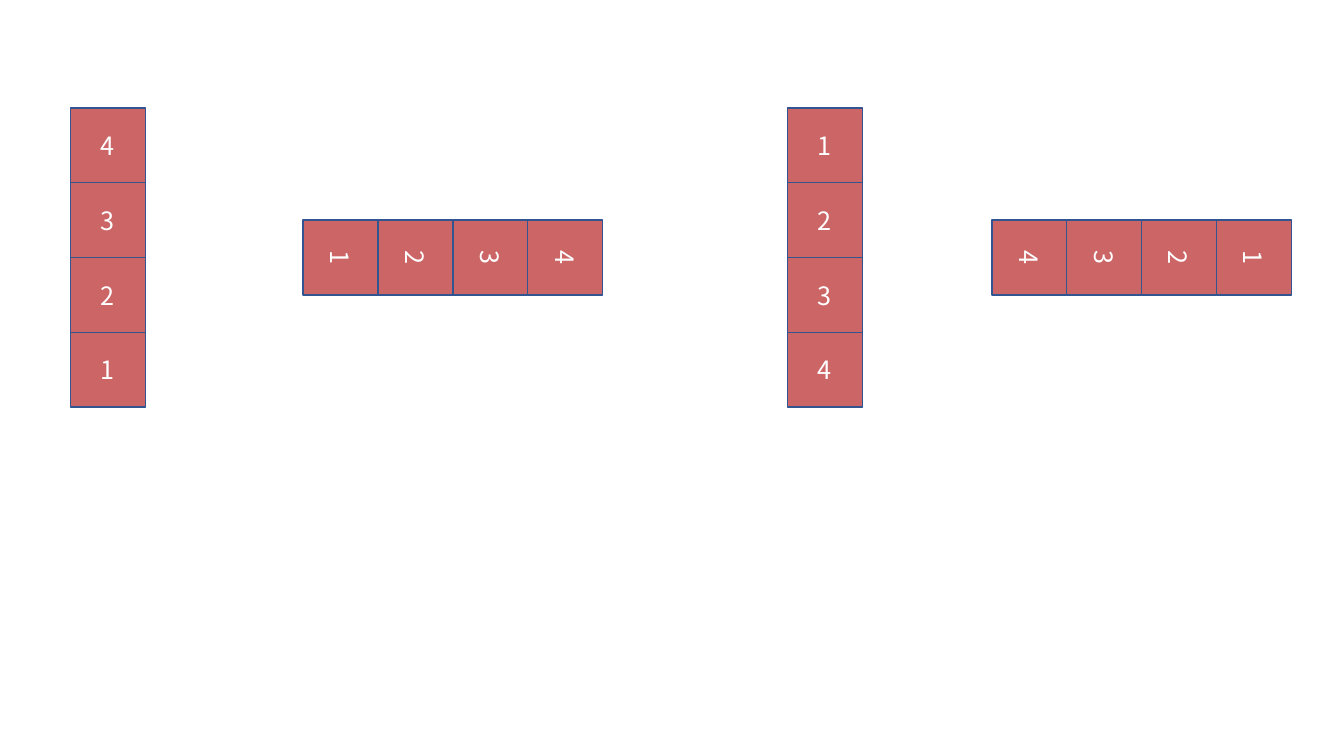
from dataclasses import dataclass

import pptx
import pptx.dml.color
import pptx.enum.shapes
import pptx.enum.text
import pptx.slide
import pptx.util


@dataclass(frozen=True)
class Theme:
    fill: str = "CC6666"
    line: str = "325491"
    text: str = "FFFFFF"
    font: str = "Noto Sans CJK SC"
    text_size: int = 18
    line_width: int = 1


@dataclass(frozen=True)
class Strip:
    left: float  # percent of slide width, before turning
    labels: str  # top to bottom, before turning
    rotation: int = 0


THEME = Theme()
WIDTH = pptx.util.Inches(13.33)
HEIGHT = pptx.util.Inches(7.5)

# Every strip is a column of square cells with the same top edge
TOP = round(HEIGHT * 14.27 / 100)
CELL = round(HEIGHT * 9.9 / 100)
STRIPS = [
    Strip(5.25, "4321"),
    Strip(30.91, "4321", rotation=90),
    Strip(58.59, "1234"),
    Strip(82.15, "1234", rotation=90),
]


def rgb(value: str) -> pptx.dml.color.RGBColor:
    return pptx.dml.color.RGBColor.from_string(value)


def add_strip(s: pptx.slide.Slide, strip: Strip) -> None:
    """Stack the numbered cells in a group, then turn the group."""
    group = s.shapes.add_group_shape()
    left = round(WIDTH * strip.left / 100)
    for row, label in enumerate(strip.labels):
        sp = group.shapes.add_shape(
            pptx.enum.shapes.MSO_SHAPE.RECTANGLE, left, TOP + row * CELL, CELL, CELL
        )
        sp.shadow.inherit = False
        sp.fill.solid()
        sp.fill.fore_color.rgb = rgb(THEME.fill)
        sp.line.color.rgb = rgb(THEME.line)
        sp.line.width = pptx.util.Pt(THEME.line_width)

        # Cell number
        tf = sp.text_frame
        tf.vertical_anchor = pptx.enum.text.MSO_ANCHOR.MIDDLE
        p = tf.paragraphs[0]
        p.alignment = pptx.enum.text.PP_ALIGN.CENTER
        r = p.add_run()
        r.text = label
        r.font.name = THEME.font
        r.font.size = pptx.util.Pt(THEME.text_size)
        r.font.color.rgb = rgb(THEME.text)
    group.rotation = strip.rotation


def main() -> None:
    prs = pptx.Presentation()
    prs.slide_width, prs.slide_height = WIDTH, HEIGHT
    s = prs.slides.add_slide(prs.slide_layouts[6])
    for strip in STRIPS:
        add_strip(s, strip)
    prs.save("out.pptx")


if __name__ == "__main__":
    main()
